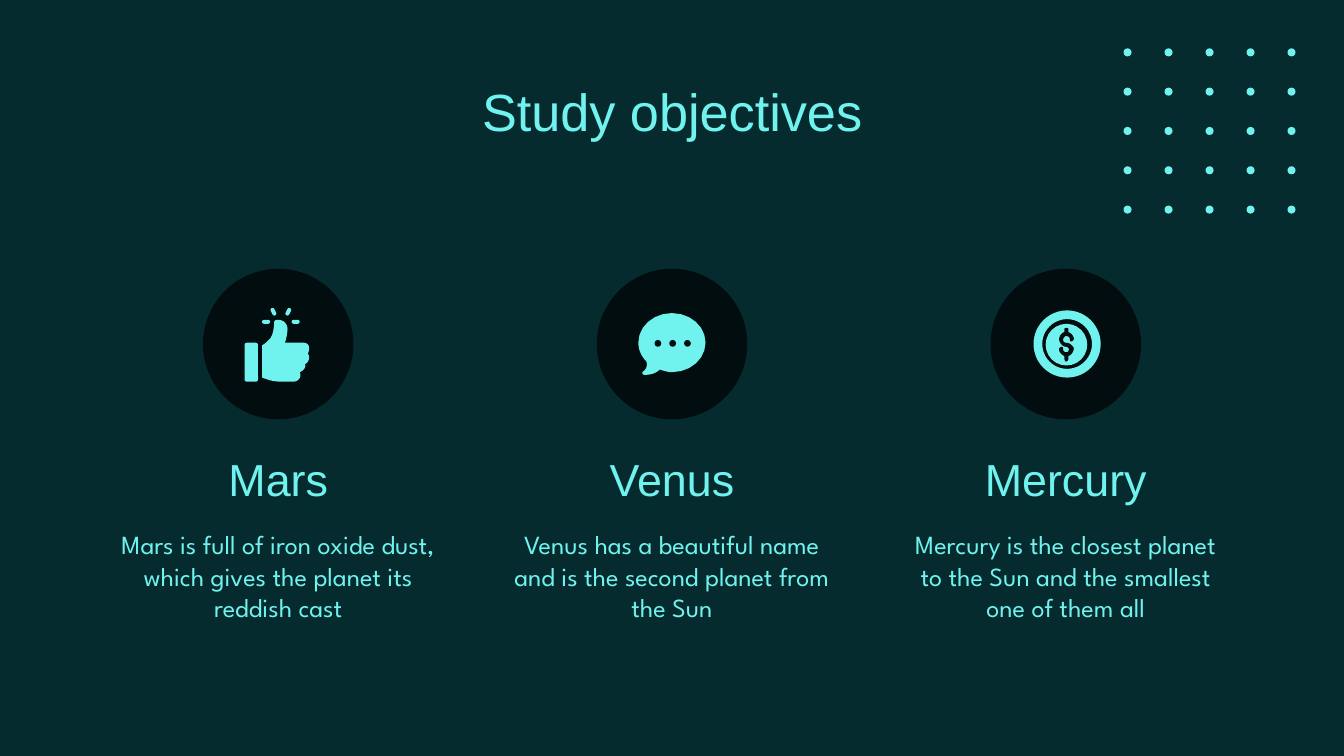
"""Build the study objectives slide: three planets, each with an icon, a name and a description."""
from dataclasses import dataclass
from itertools import product

from pptx import Presentation
from pptx.dml.color import RGBColor
from pptx.enum.shapes import MSO_SHAPE as Shape
from pptx.enum.text import MSO_ANCHOR as Anchor, PP_ALIGN as Align
from pptx.util import Inches, Pt


@dataclass(frozen=True)
class Theme:
    back: RGBColor = RGBColor.from_string("062B2F")
    disc: RGBColor = RGBColor.from_string("010D0F")
    accent: RGBColor = RGBColor.from_string("70F3EF")
    head_font: str = "Arial"
    body_font: str = "League Spartan"
    title_size: float = 28
    name_size: float = 24
    body_size: float = 14


@dataclass(frozen=True)
class Planet:
    name: str
    body: str


@dataclass(frozen=True)
class Piece:
    kind: Shape
    left: float
    top: float
    width: float
    height: float
    dark: bool = False
    turn: float = 0
    adjust: float | None = None


@dataclass(frozen=True)
class Outline:
    start: tuple[float, float]
    segments: list[tuple[float, ...]]
    dark: bool = False


THEME = Theme()
SLIDE_WIDTH = 10
SLIDE_HEIGHT = SLIDE_WIDTH * 9 / 16
COLUMN_LEFT, COLUMN_WIDTH = 0.79, 2.56
COLUMN_STEP = (SLIDE_WIDTH - 2 * COLUMN_LEFT - COLUMN_WIDTH) / 2
DISC_TOP, DISC_SIZE = 2, 1.12
DOT_COUNT, DOT_SIZE = 5, 0.06
DOT_LEFT, DOT_TOP = 8.36, 0.36
DOT_STEP_X = (9.58 - DOT_LEFT) / (DOT_COUNT - 1)
DOT_STEP_Y = (1.53 - DOT_TOP) / (DOT_COUNT - 1)
CURVE_STEPS = 6

PLANETS = [
    Planet("Mars", "Mars is full of iron oxide dust, which gives the planet its reddish cast"),
    Planet("Venus", "Venus has a beautiful name and is the second planet from the Sun"),
    Planet("Mercury", "Mercury is the closest planet to the Sun and the smallest one of them all"),
]

THUMB = [
    Piece(Shape.ROUNDED_RECTANGLE, 1.95, 2.38, 0.06, 0.03, adjust=0.5),
    Piece(Shape.ROUNDED_RECTANGLE, 2.17, 2.38, 0.06, 0.03, adjust=0.5),
    Piece(Shape.ROUNDED_RECTANGLE, 2.02, 2.29, 0.03, 0.06, turn=-27, adjust=0.5),
    Piece(Shape.ROUNDED_RECTANGLE, 2.13, 2.29, 0.03, 0.06, turn=27, adjust=0.5),
    Piece(Shape.ROUNDED_RECTANGLE, 1.82, 2.55, 0.1, 0.29),
    Outline((2.06, 2.38), [
        (2.05, 2.38, 2.04, 2.39, 2.04, 2.4), (2.04, 2.44, 2.03, 2.51, 2, 2.53),
        (1.98, 2.55, 1.97, 2.56, 1.95, 2.57), (1.95, 2.81),
        (1.98, 2.82, 2.02, 2.84, 2.08, 2.84), (2.19, 2.84),
        (2.22, 2.84, 2.25, 2.8, 2.23, 2.77), (2.26, 2.76, 2.28, 2.73, 2.27, 2.71),
        (2.3, 2.7, 2.31, 2.65, 2.29, 2.63), (2.3, 2.62, 2.3, 2.6, 2.3, 2.59),
        (2.3, 2.56, 2.28, 2.55, 2.25, 2.55), (2.12, 2.55),
        (2.13, 2.53, 2.14, 2.47, 2.14, 2.45), (2.14, 2.41, 2.11, 2.38, 2.07, 2.38),
    ]),
]
BUBBLE = [
    Outline((5, 2.33), [
        (4.86, 2.33, 4.75, 2.43, 4.75, 2.55), (4.75, 2.6, 4.77, 2.65, 4.81, 2.69),
        (4.82, 2.72, 4.81, 2.75, 4.78, 2.77), (4.78, 2.78, 4.78, 2.79, 4.8, 2.79),
        (4.84, 2.79, 4.88, 2.78, 4.91, 2.75), (4.94, 2.76, 4.97, 2.77, 5, 2.77),
        (5.14, 2.77, 5.25, 2.67, 5.25, 2.55), (5.25, 2.43, 5.14, 2.33, 5, 2.33),
    ]),
    *[Piece(Shape.OVAL, 4.87 + i * 0.11, 2.53, 0.05, 0.05, dark=True) for i in range(3)],
]
COIN = [
    Piece(Shape.DONUT, 7.69, 2.31, 0.5, 0.5, adjust=0.13),
    Piece(Shape.OVAL, 7.78, 2.41, 0.31, 0.31),
    Outline((7.93, 2.44), [
        (7.94, 2.44, 7.95, 2.44, 7.95, 2.45), (7.95, 2.47),
        (7.97, 2.48, 7.99, 2.5, 7.99, 2.52), (7.99, 2.53, 7.98, 2.54, 7.97, 2.54),
        (7.96, 2.54, 7.96, 2.53, 7.96, 2.52), (7.96, 2.51, 7.95, 2.5, 7.93, 2.5),
        (7.93, 2.5, 7.92, 2.5, 7.92, 2.51), (7.9, 2.52, 7.91, 2.55, 7.93, 2.55),
        (7.96, 2.55, 7.98, 2.57, 7.99, 2.59), (7.99, 2.62, 7.97, 2.64, 7.95, 2.65),
        (7.95, 2.67), (7.95, 2.68, 7.94, 2.69, 7.93, 2.69),
        (7.93, 2.69, 7.92, 2.68, 7.92, 2.67), (7.92, 2.65),
        (7.9, 2.64, 7.88, 2.62, 7.88, 2.6), (7.88, 2.59, 7.89, 2.58, 7.9, 2.58),
        (7.91, 2.58, 7.91, 2.59, 7.91, 2.6), (7.91, 2.61, 7.92, 2.62, 7.93, 2.62),
        (7.94, 2.62, 7.95, 2.62, 7.95, 2.61), (7.96, 2.6, 7.95, 2.58, 7.93, 2.58),
        (7.91, 2.58, 7.89, 2.56, 7.88, 2.53), (7.88, 2.51, 7.89, 2.48, 7.92, 2.47),
        (7.92, 2.45), (7.92, 2.44, 7.93, 2.44, 7.93, 2.44),
    ], dark=True),
]


def paint(sp, dark: bool) -> None:
    """Give a shape its flat fill, with no line and no shadow."""
    sp.shadow.inherit = False
    sp.fill.solid()
    sp.fill.fore_color.rgb = THEME.disc if dark else THEME.accent
    sp.line.fill.background()


def draw_piece(s, piece: Piece) -> None:
    """Draw one preset shape."""
    box = (piece.left, piece.top, piece.width, piece.height)
    sp = s.shapes.add_shape(piece.kind, *map(Inches, box))
    sp.rotation = piece.turn
    if piece.adjust is not None:
        sp.adjustments[0] = piece.adjust
    paint(sp, piece.dark)


def flatten(outline: Outline) -> list[tuple[float, float]]:
    """Turn lines and cubic curves into a run of points."""
    points = [outline.start]
    for segment in outline.segments:
        if len(segment) == 2:
            points.append(segment)
            continue
        x0, y0 = points[-1]
        x1, y1, x2, y2, x3, y3 = segment
        for i in range(1, CURVE_STEPS + 1):
            t = i / CURVE_STEPS
            a, b, c, d = (1 - t) ** 3, 3 * t * (1 - t) ** 2, 3 * t * t * (1 - t), t ** 3
            points.append((a * x0 + b * x1 + c * x2 + d * x3,
                           a * y0 + b * y1 + c * y2 + d * y3))
    return points


def draw_outline(s, outline: Outline) -> None:
    """Draw one closed curved outline."""
    start, *rest = [(Inches(x), Inches(y)) for x, y in flatten(outline)]
    builder = s.shapes.build_freeform(*start)
    builder.add_line_segments(rest, close=True)
    paint(builder.convert_to_shape(), outline.dark)


def draw_text(s, text: str, box: tuple[float, ...], font: str, size: float,
              anchor: Anchor = Anchor.MIDDLE) -> None:
    """Add a centred text box."""
    tf = s.shapes.add_textbox(*map(Inches, box)).text_frame
    tf.word_wrap = True
    tf.vertical_anchor = anchor
    tf.margin_left = tf.margin_right = tf.margin_top = tf.margin_bottom = Inches(0.1)
    tf.text = text
    p = tf.paragraphs[0]
    p.alignment = Align.CENTER
    f = p.runs[0].font
    f.name, f.size, f.color.rgb = font, Pt(size), THEME.accent


def main() -> None:
    """Build and save the slide."""
    prs = Presentation()
    prs.slide_width, prs.slide_height = Inches(SLIDE_WIDTH), Inches(SLIDE_HEIGHT)
    s = prs.slides.add_slide(prs.slide_layouts[6])
    s.background.fill.solid()
    s.background.fill.fore_color.rgb = THEME.back

    for column, row in product(range(DOT_COUNT), repeat=2):
        draw_piece(s, Piece(Shape.OVAL, DOT_LEFT + column * DOT_STEP_X,
                            DOT_TOP + row * DOT_STEP_Y, DOT_SIZE, DOT_SIZE))

    draw_text(s, "Study objectives", (0.79, 0.49, 8.42, 0.63),
              THEME.head_font, THEME.title_size, Anchor.TOP)
    for i, planet in enumerate(PLANETS):
        left = COLUMN_LEFT + i * COLUMN_STEP
        disc_left = left + (COLUMN_WIDTH - DISC_SIZE) / 2
        draw_piece(s, Piece(Shape.OVAL, disc_left, DISC_TOP, DISC_SIZE, DISC_SIZE, dark=True))
        draw_text(s, planet.name, (left, 3.27, COLUMN_WIDTH, 0.58),
                  THEME.head_font, THEME.name_size)
        draw_text(s, planet.body, (left, 3.87, COLUMN_WIDTH, 0.83),
                  THEME.body_font, THEME.body_size)

    for part in THUMB + BUBBLE + COIN:
        if isinstance(part, Outline):
            draw_outline(s, part)
        else:
            draw_piece(s, part)
    prs.save("out.pptx")


if __name__ == "__main__":
    main()
